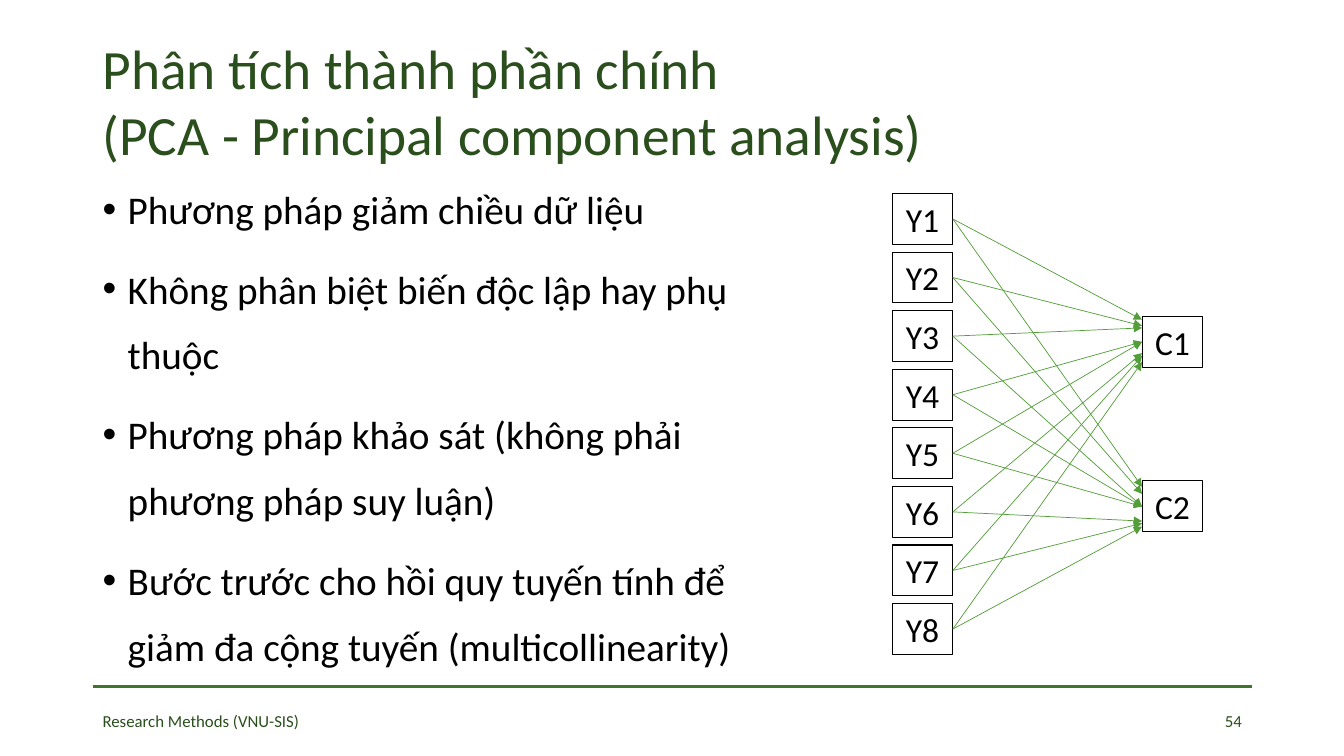
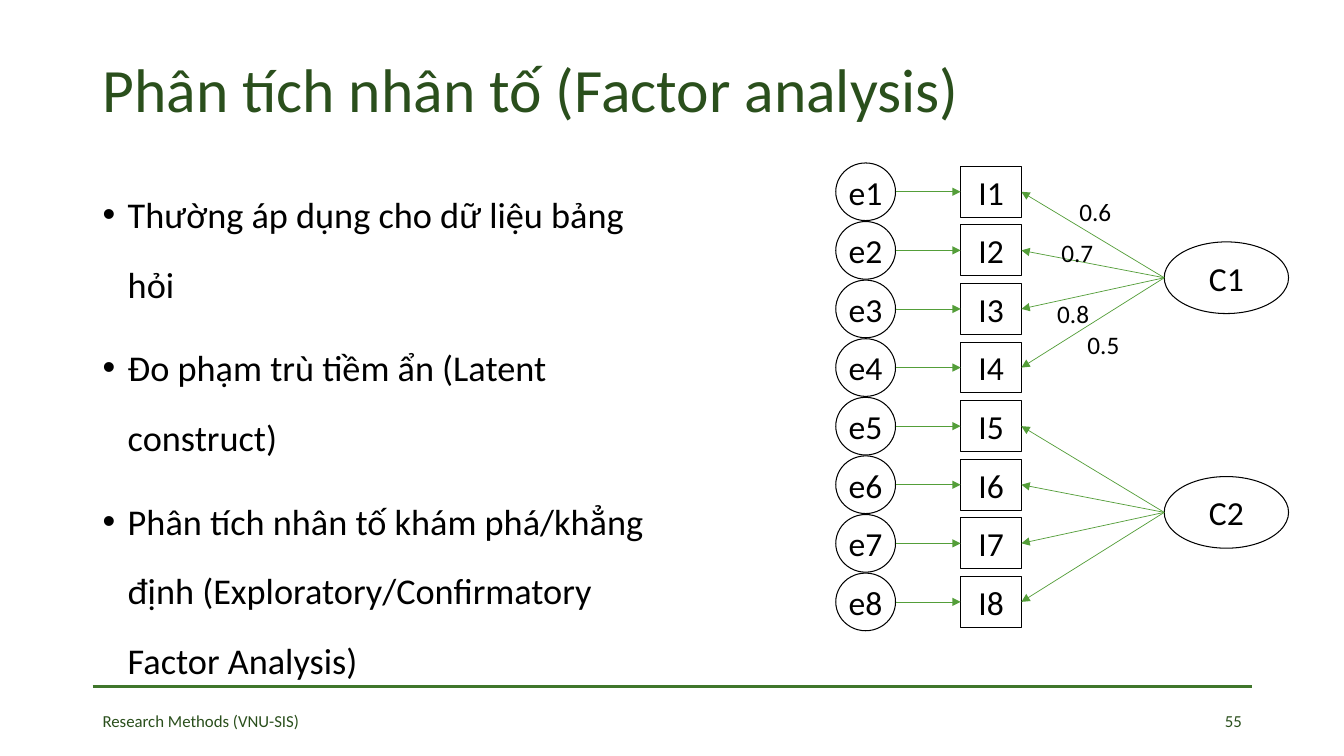
from pptx import Presentation
from pptx.dml.color import RGBColor as Rgb
from pptx.enum.shapes import MSO_CONNECTOR as Conn, MSO_SHAPE as Form
from pptx.enum.text import MSO_ANCHOR as Anchor, PP_ALIGN as Align
from pptx.oxml.ns import qn
from pptx.util import Pt
from lxml.etree import SubElement as Sub

HUE = {"title": "2A4F1C", "rule": "3F762B", "arrow": "549E39", "ink": "000000"}
FONT = "Calibri"
LEFT, WIDE = 66.2, 828
STEP = 41.85                    # pitch of the diagram rows
BOX_W, BOX_H = 43.4, 36.4       # size of a variable box


def put(slide, form, area, text, size, hue="ink", align=Align.LEFT, anchor=Anchor.MIDDLE):
    """Add a text box, or an outlined shape when a form is given."""
    area = [Pt(v) for v in area]
    if form is None:
        shape = slide.shapes.add_textbox(*area)
    else:
        shape = slide.shapes.add_shape(form, *area)
        shape.shadow.inherit = False
        shape.fill.background()
        shape.line.color.rgb = Rgb.from_string(HUE["ink"])
        shape.line.width = Pt(0.75)
        align = Align.CENTER
    frame = shape.text_frame
    frame.text = text
    frame.word_wrap = form is None
    frame.vertical_anchor = anchor
    for para in frame.paragraphs:
        para.alignment = align
        for run in para.runs:
            run.font.size = Pt(size)
            run.font.name = FONT
            run.font.color.rgb = Rgb.from_string(HUE[hue])
    return shape


def link(slide, x1, y1, x2, y2, hue="arrow", width=0.5, head=True):
    """Add a straight line, with an arrowhead at its end unless told not to."""
    ends = [Pt(v) for v in (x1, y1, x2, y2)]
    line = slide.shapes.add_connector(Conn.STRAIGHT, *ends)
    line.line.color.rgb = Rgb.from_string(HUE[hue])
    line.line.width = Pt(width)
    if head:
        Sub(line.line._get_or_add_ln(), qn("a:tailEnd"), type="triangle")
    Sub(line._element.spPr, qn("a:effectLst"))
    return line


deck = Presentation()
deck.slide_width, deck.slide_height = Pt(960), Pt(540)

pages = [
    {"no": "54", "title": "Phân tích thành phần chính\v(PCA - Principal component analysis)",
     "size": 39.6, "tall": 85.7, "lead": 1.0,
     "wide": 512, "text": 28, "space": 1.4,
     "points": ["Phương pháp giảm chiều dữ liệu",
                "Không phân biệt biến độc lập hay phụ thuộc",
                "Phương pháp khảo sát (không phải phương pháp suy luận)",
                "Bước trước cho hồi quy tuyến tính để giảm đa cộng tuyến (multicollinearity)"]},
    {"no": "55", "title": "Phân tích nhân tố (Factor analysis)",
     "size": 44, "tall": 75, "lead": 0.9,
     "wide": 412, "text": 25.9, "space": 1.6,
     "points": ["Thường áp dụng cho dữ liệu bảng hỏi",
                "Đo phạm trù tiềm ẩn (Latent construct)",
                "Phân tích nhân tố khám phá/khẳng định "
                "(Exploratory/Confirmatory Factor Analysis)"]},
]

# Shared frame: rule, title, bullets, footer
slides = []
for page in pages:
    slide = deck.slides.add_slide(deck.slide_layouts[6])
    slides.append(slide)
    link(slide, LEFT, 490.3, LEFT + WIDE, 490.3, "rule", 2.25, head=False)
    title = put(slide, None, (LEFT, 28.8, WIDE, page["tall"]),
                page["title"], page["size"], "title")
    title.text_frame.paragraphs[0].line_spacing = page["lead"]
    body = put(slide, None, (LEFT, 115.2, page["wide"], 371.5),
               "\n".join(page["points"]), page["text"], anchor=Anchor.TOP)
    for para in body.text_frame.paragraphs:
        para.line_spacing = page["space"]
        para.space_before = Pt(10)
        props = para._p.get_or_add_pPr()
        props.set("marL", str(Pt(18)))
        props.set("indent", str(-Pt(18)))
        Sub(props, qn("a:buFont"), typeface="Arial")
        Sub(props, qn("a:buChar"), char="•")
    put(slide, None, (LEFT, 500.4, 181, 28.8), "Research Methods (VNU-SIS)", 12, "title")
    put(slide, None, (LEFT + WIDE - 216, 500.4, 216, 28.8), page["no"], 12,
        "title", Align.RIGHT)

pca, factor = slides

# PCA: every variable feeds both components
vars_x, vars_y, comp_x = 637.2, 138.2, 815.8
boxes = [put(pca, Form.RECTANGLE, (vars_x, vars_y + i * STEP, BOX_W, BOX_H), f"Y{i + 1}", 24)
         for i in range(8)]
fans = [("C1", 226, (-15.8, -11.5, -10, 0, 0, 8, 10, 14.4)),
        ("C2", 343.6, (-14, -9, 0, 0, 0, 10.4, 12, 14.4))]
for name, top, shifts in fans:
    comp = put(pca, Form.RECTANGLE, (comp_x, top, BOX_W, BOX_H), name, 24)
    for box, shift in zip(boxes, shifts):
        line = link(pca, 0, 0, comp_x, top + BOX_H / 2 + shift)
        line.begin_connect(box, 3)
        if shift == 0:
            line.end_connect(comp, 1)

# Factor analysis: an error term for every item
err_x, err_w, err_h = 597, 42.7, 41.2
item_x, item_y = 686.2, 118.8
items = []
for i in range(8):
    top = item_y + i * STEP
    mid = top + BOX_H / 2
    item = put(factor, Form.RECTANGLE, (item_x, top, BOX_W, BOX_H), f"I{i + 1}", 24)
    put(factor, Form.OVAL, (err_x, mid - err_h / 2, err_w, err_h), f"e{i + 1}", 24)
    link(factor, err_x + err_w, mid, item_x, mid).end_connect(item, 1)
    items.append(item)

# Each factor points to four items
fact_x, fact_w, fact_h = 831.6, 88.8, 51.2
for i, top in enumerate((172.8, 340.4)):
    put(factor, Form.OVAL, (fact_x, top, fact_w, fact_h), f"C{i + 1}", 24)
    for item in items[4 * i:4 * i + 4]:
        link(factor, fact_x, top + fact_h / 2, item_x, 0).end_connect(item, 3)

# Loadings of the first factor
for load, x, y in (("0.6", 763.9, 136.8), ("0.7", 751, 165.6),
                   ("0.8", 748.1, 209.5), ("0.5", 769.7, 231.8)):
    put(factor, None, (x, y, 43.2, 28.8), load, 18)

deck.save("out.pptx")
